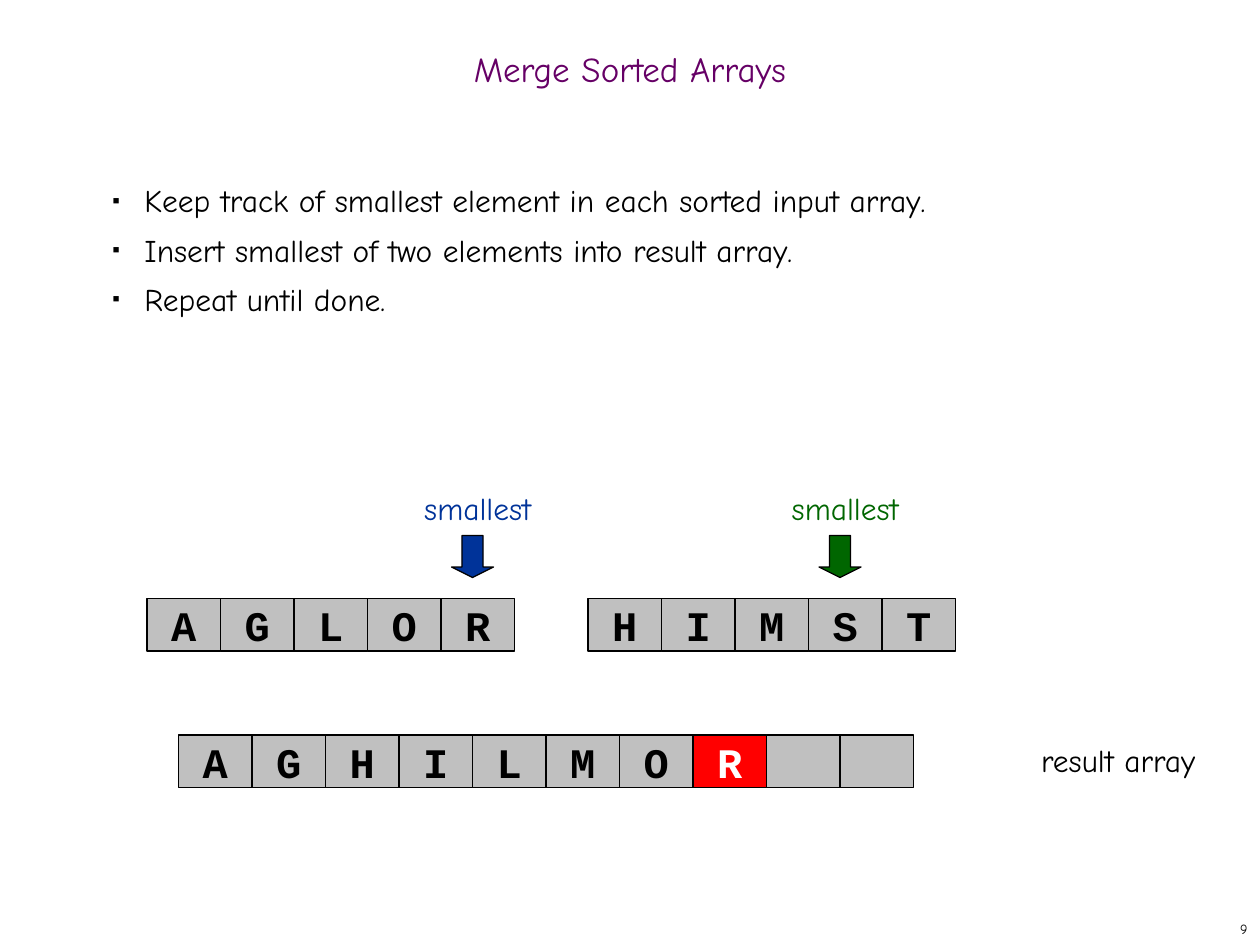
from lxml import etree
from pptx import Presentation
from pptx.dml.color import RGBColor
from pptx.enum.shapes import MSO_SHAPE
from pptx.enum.text import MSO_ANCHOR, MSO_AUTO_SIZE, PP_ALIGN
from pptx.oxml.ns import qn
from pptx.util import Inches, Pt

RECTANGLE, DOWN_ARROW = MSO_SHAPE.RECTANGLE, MSO_SHAPE.DOWN_ARROW
TOP, MIDDLE = MSO_ANCHOR.TOP, MSO_ANCHOR.MIDDLE
LEFT, CENTER, RIGHT = PP_ALIGN.LEFT, PP_ALIGN.CENTER, PP_ALIGN.RIGHT
NO_AUTOFIT = MSO_AUTO_SIZE.NONE

COLUMNS, ROWS = 120, 90
CELL_WIDTH, CELL_HEIGHT = 7, 5
HAND, CODE = "Comic Neue", "Courier New"
BLACK, WHITE, GRAY, RED = "000000", "FFFFFF", "C0C0C0", "FF0000"
BLUE, GREEN, PURPLE = "003399", "006600", "660066"


def grid(*units):
    """Turn grid units, twelve to the inch, into lengths."""
    return [Inches(unit / 12) for unit in units]


def color(value):
    """Return the colour of a hex string."""
    return RGBColor.from_string(value)


def write(frame, text, size=18, font=HAND, fill=BLACK, bold=False,
          align=CENTER, anchor=TOP, wrap=True, spacing=None):
    """Write one formatted paragraph into a text frame."""
    frame.auto_size = NO_AUTOFIT
    frame.word_wrap = wrap
    frame.vertical_anchor = anchor
    paragraph = frame.paragraphs[0]
    paragraph.text = text
    paragraph.alignment = align
    paragraph.line_spacing = spacing
    format_font(paragraph.font, size, font, fill, bold)


def format_font(font, size, name, fill, bold=False):
    """Set the face, size, weight and colour of a font."""
    font.name, font.size, font.bold = name, Pt(size), bold
    font.color.rgb = color(fill)


def place(placeholder, *units):
    """Move a placeholder to a grid position and size."""
    (placeholder.left, placeholder.top,
     placeholder.width, placeholder.height) = grid(*units)


def add_label(shapes, text, left, top, width, height=4.8, **style):
    """Add a text box with one line of text."""
    label = shapes.add_textbox(*grid(left, top, width, height))
    write(label.text_frame, text, **style)


def add_block(shapes, kind, units, fill, outline=BLACK):
    """Add a filled preset shape with a thin outline."""
    block = shapes.add_shape(kind, *grid(*units))
    block.shadow.inherit = False
    block.fill.solid()
    block.fill.fore_color.rgb = color(fill)
    block.line.color.rgb = color(outline)
    block.line.width = Pt(0.75)
    return block


def add_array(shapes, letters, left, top, highlight=None):
    """Add a row of array cells, one of them highlighted if asked."""
    for index, letter in enumerate(letters):
        active = index == highlight
        units = (left + index * CELL_WIDTH, top, CELL_WIDTH, CELL_HEIGHT)
        cell = add_block(shapes, RECTANGLE, units, RED if active else GRAY)
        if letter.strip():
            write(cell.text_frame, letter, size=24, font=CODE, bold=True,
                  fill=WHITE if active else BLACK, anchor=MIDDLE, wrap=False)


def add_pointer(shapes, left, fill):
    """Add a label with an arrow pointing down at the smallest element."""
    add_label(shapes, "smallest", left, 46, 25, fill=fill)
    arrow = add_block(shapes, DOWN_ARROW, (left + 10, 51, 4, 4), fill, "010000")
    arrow.adjustments[0], arrow.adjustments[1] = 0.5, 0.25


def add_bullet(paragraph):
    """Give a paragraph a small black square bullet and a hanging indent."""
    properties = paragraph._p.get_or_add_pPr()
    properties.set("marL", str(Inches(0.38)))
    properties.set("indent", str(Inches(-0.25)))
    bullet_color = etree.SubElement(properties, qn("a:buClr"))
    etree.SubElement(bullet_color, qn("a:srgbClr"), val=BLACK)
    etree.SubElement(properties, qn("a:buSzPct"), val="35000")
    etree.SubElement(properties, qn("a:buFont"), typeface="Arial")
    etree.SubElement(properties, qn("a:buChar"), char="■")


def fill_steps(body, steps):
    """List the merge steps in the body placeholder."""
    place(body, 8, 12, 103, 71)
    frame = body.text_frame
    frame.auto_size = NO_AUTOFIT
    frame.margin_top = Inches(0.41)
    for index, step in enumerate(steps):
        paragraph = frame.add_paragraph() if index else frame.paragraphs[0]
        paragraph.text = step
        paragraph.level = 1
        paragraph.alignment = LEFT
        paragraph.line_spacing = 1.1
        paragraph.space_before = Pt(4.5 if index else 0)
        add_bullet(paragraph)
        format_font(paragraph.font, 18, HAND, BLACK)


def main():
    """Build the slide and save it."""
    deck = Presentation()
    deck.slide_width, deck.slide_height = grid(COLUMNS, ROWS)
    slide = deck.slides.add_slide(deck.slide_layouts[1])
    shapes = slide.shapes

    place(shapes.title, 0, 3, COLUMNS, 8)
    write(shapes.title.text_frame, "Merge Sorted Arrays", size=20,
          fill=PURPLE, anchor=MIDDLE, spacing=0.7)
    fill_steps(slide.placeholders[1], [
        "Keep track of smallest element in each sorted input array.",
        "Insert smallest of two elements into result array.",
        "Repeat until done.",
    ])

    for pointer_left, fill in ((33, BLUE), (68, GREEN)):
        add_pointer(shapes.add_group_shape().shapes, pointer_left, fill)
    for array_left, letters in ((14, "AGLOR"), (56, "HIMST")):
        add_array(shapes.add_group_shape().shapes, letters, array_left, 57)
    add_array(shapes, "AGHILMOR  ", 17, 70, highlight=7)
    add_label(shapes, "result array", 95, 70, 23)
    add_label(shapes, "9", 95, 87, 25, 3, size=8, align=RIGHT, anchor=MIDDLE)

    deck.save("out.pptx")


if __name__ == "__main__":
    main()
